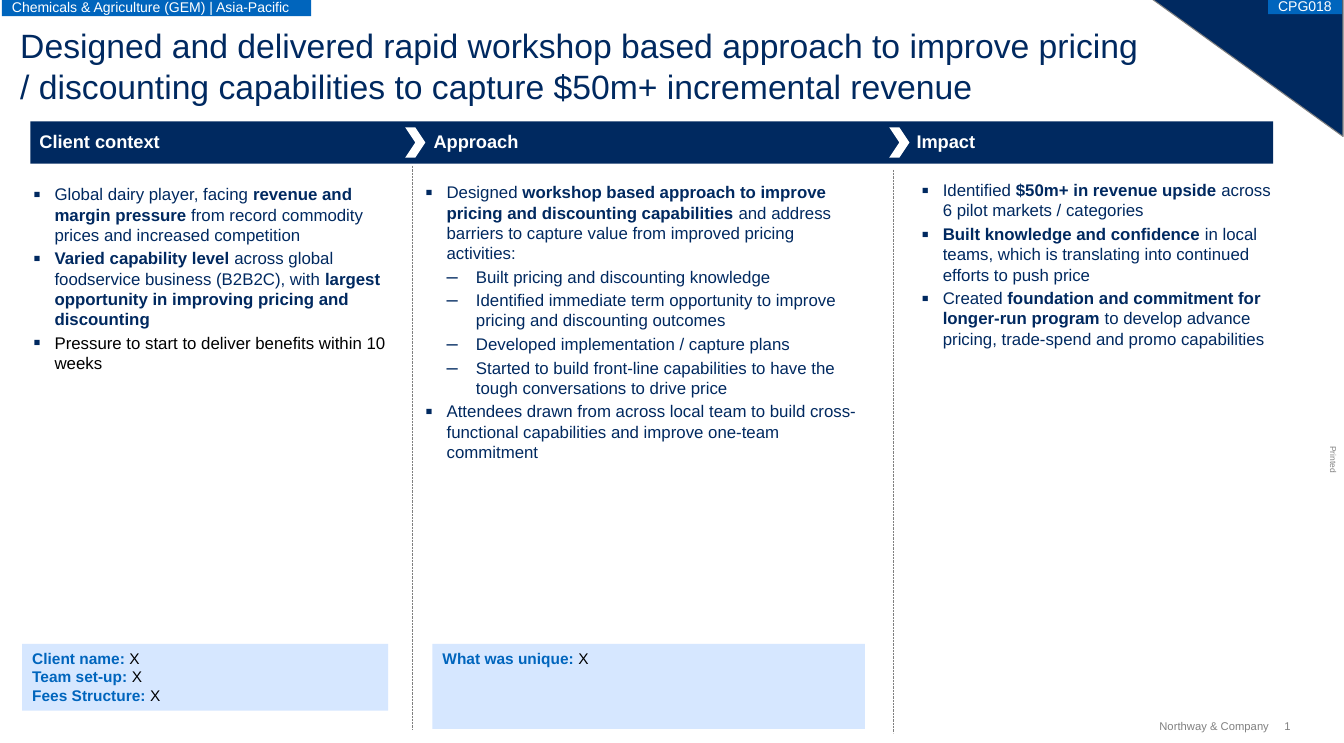
import lxml.etree
import pptx
import pptx.dml.color
import pptx.enum.dml
import pptx.enum.shapes
import pptx.enum.text
import pptx.oxml.ns
import pptx.util

PX = 9144
THEME = {
    "font": "Arial",
    "navy": "002960", "blue": "0065BD", "pale": "D6E7FF",
    "gray": "808080", "white": "FFFFFF", "black": "000000",
    "title": 24, "heading": 13, "body": 12, "fact": 11, "tag": 10, "footer": 8, "print": 6,
}
COLOR = {name: pptx.dml.color.RGBColor.from_string(value)
         for name, value in THEME.items() if isinstance(value, str) and name != "font"}
SHAPE = pptx.enum.shapes.MSO_SHAPE
ANCHOR = pptx.enum.text.MSO_ANCHOR
ALIGN = pptx.enum.text.PP_ALIGN


def write_text(shape, paragraphs, size, insets=(0, 0, 0, 0), anchor=ANCHOR.TOP, wrap=True, align=ALIGN.LEFT):
    frame = shape.text_frame
    frame.auto_size = pptx.enum.text.MSO_AUTO_SIZE.NONE
    frame.word_wrap = wrap
    frame.vertical_anchor = anchor
    frame.margin_left, frame.margin_top, frame.margin_right, frame.margin_bottom = [
        inset * PX for inset in insets]
    for index, runs in enumerate(paragraphs):
        paragraph = frame.paragraphs[0] if index == 0 else frame.add_paragraph()
        paragraph.alignment = align
        for text, color, bold in runs:
            run = paragraph.add_run()
            run.text = text
            run.font.name = THEME["font"]
            run.font.size = pptx.util.Pt(THEME[size])
            run.font.bold = bold
            run.font.color.rgb = COLOR[color]


def add_filled(kind, bounds, color):
    shape = slide.shapes.add_shape(kind, *[value * PX for value in bounds])
    shape.shadow.inherit = False
    shape.fill.solid()
    shape.fill.fore_color.rgb = COLOR[color]
    shape.line.fill.background()
    return shape


presentation = pptx.Presentation()
presentation.slide_width = 1330 * PX
presentation.slide_height = 735 * PX
slide = presentation.slides.add_slide(presentation.slide_layouts.get_by_name("Comparison"))
placeholders = {shape.placeholder_format.idx: shape for shape in slide.placeholders}

corner = add_filled(SHAPE.RIGHT_TRIANGLE, (1140, -1, 189, 136), "navy")
corner.rotation = 180
corner.line.color.rgb = COLOR["gray"]
corner.line.width = pptx.util.Pt(0.75)

title = slide.shapes.title
title.left, title.top, title.width, title.height = [value * PX for value in (20, 25, 1111, 90)]
write_text(title, [[(
    "Designed and delivered rapid workshop based approach to improve pricing / discounting "
    "capabilities to capture $50m+ incremental revenue", "navy", False)]], "title")

context_items = [
    (0, [("Global dairy player, facing ", "navy", False),
         ("revenue and margin pressure", "navy", True),
         (" from record commodity prices and increased competition", "navy", False)]),
    (0, [("Varied capability level ", "navy", True),
         ("across global foodservice business (B2B2C), with ", "navy", False),
         ("largest opportunity in improving pricing and discounting", "navy", True)]),
    (0, [("Pressure to start to deliver benefits within 10 weeks", "black", False)]),
]
approach_items = [
    (0, [("Designed ", "navy", False),
         ("workshop based approach to improve pricing and discounting capabilities", "navy", True),
         (" and address barriers to capture value from improved pricing activities:", "navy", False)]),
    (1, [("Built pricing and discounting knowledge", "navy", False)]),
    (1, [("Identified immediate term opportunity to improve pricing and discounting outcomes",
          "navy", False)]),
    (1, [("Developed implementation / capture plans", "navy", False)]),
    (1, [("Started to build front-line capabilities to have the tough conversations to drive price",
          "navy", False)]),
    (0, [("Attendees drawn from across local team to build cross-functional capabilities "
          "and improve one-team commitment", "navy", False)]),
]
impact_items = [
    (0, [("Identified ", "navy", False),
         ("$50m+ in revenue upside", "navy", True),
         (" across 6 pilot markets / categories", "navy", False)]),
    (0, [("Built knowledge and confidence ", "navy", True),
         ("in local teams, which is translating into continued efforts to push price", "navy", False)]),
    (0, [("Created ", "navy", False),
         ("foundation and commitment for longer-run program", "navy", True),
         (" to develop advance pricing, trade-spend and promo capabilities", "navy", False)]),
]
bullet_levels = [("▪", 21, -21, 125), ("–", 50, -29, 120)]
columns = [
    (1, (33, 182, 356, 190), context_items),
    (2, (421, 180, 435, 283), approach_items),
    (3, (912, 178, 348, 194), impact_items),
]
for placeholder_index, bounds, items in columns:
    body = placeholders[placeholder_index]
    body.left, body.top, body.width, body.height = [value * PX for value in bounds]
    write_text(body, [runs for level, runs in items], "body")
    for index, (level, runs) in enumerate(items):
        paragraph = body.text_frame.paragraphs[index]
        character, margin, indent, percent = bullet_levels[level]
        properties = paragraph._p.get_or_add_pPr()
        properties.set("marL", str(margin * PX))
        properties.set("indent", str(indent * PX))
        bullet_color = lxml.etree.SubElement(properties, pptx.oxml.ns.qn("a:buClr"))
        lxml.etree.SubElement(bullet_color, pptx.oxml.ns.qn("a:srgbClr"), val=THEME["navy"])
        lxml.etree.SubElement(properties, pptx.oxml.ns.qn("a:buSzPct"), val=str(percent * 1000))
        lxml.etree.SubElement(properties, pptx.oxml.ns.qn("a:buFont"), typeface=THEME["font"])
        lxml.etree.SubElement(properties, pptx.oxml.ns.qn("a:buChar"), char=character)
        paragraph.level = level
        paragraph.space_before = pptx.util.Pt(2.4 if index else 0)
        paragraph.space_after = pptx.util.Pt(0)

unused = placeholders[4].element
unused.getparent().remove(unused)

tags = [
    ((2, -2, 306, 18), "Chemicals & Agriculture (GEM) | Asia-Pacific"),
    ((1255, -2, 73, 16), "CPG018"),
]
for bounds, text in tags:
    tag = add_filled(SHAPE.RECTANGLE, bounds, "blue")
    write_text(tag, [[(text, "white", False)]], "tag", (10, 5, 10, 5), ANCHOR.MIDDLE, False)

add_filled(SHAPE.RECTANGLE, (30, 120, 1230, 42), "navy")
for left, width, text in [(39, 291, "Client context"), (429, 349, "Approach"), (907, 317, "Impact")]:
    heading = slide.shapes.add_textbox(left * PX, 129 * PX, width * PX, 24 * PX)
    write_text(heading, [[(text, "white", True)]], "heading", (0, 0, 0, 2), ANCHOR.BOTTOM)

for chevron_left, line_x, line_top, line_bottom in [(401, 408, 164, 722), (880, 884, 168, 725)]:
    add_filled(SHAPE.CHEVRON, (chevron_left, 126, 20, 30), "white")
    divider = slide.shapes.add_connector(
        pptx.enum.shapes.MSO_CONNECTOR.STRAIGHT,
        line_x * PX, line_top * PX, line_x * PX, line_bottom * PX)
    divider.line.color.rgb = COLOR["gray"]
    divider.line.width = pptx.util.Pt(0.5)
    divider.line.dash_style = pptx.enum.dml.MSO_LINE.ROUND_DOT
    lxml.etree.SubElement(divider._element.spPr, pptx.oxml.ns.qn("a:effectLst"))

facts = [
    ((22, 637, 362, 66), ["Client name: ", "Team set-up: ", "Fees Structure: "]),
    ((428, 637, 428, 84), ["What was unique: "]),
]
for bounds, names in facts:
    panel = add_filled(SHAPE.RECTANGLE, bounds, "pale")
    write_text(panel, [[(name, "blue", True), ("X", "black", False)] for name in names],
               "fact", (10, 5, 10, 5))

footers = [
    ((1306, 450, 27, 10), "Printed", "print", ANCHOR.TOP, ALIGN.LEFT, 90),
    ((1143, 712, 113, 13), "Northway & Company", "footer", ANCHOR.MIDDLE, ALIGN.RIGHT, 0),
    ((1271, 712, 14, 13), "1", "footer", ANCHOR.MIDDLE, ALIGN.LEFT, 0),
]
for bounds, text, size, anchor, align, rotation in footers:
    footer = slide.shapes.add_textbox(*[value * PX for value in bounds])
    footer.rotation = rotation
    write_text(footer, [[(text, "gray", False)]], size, anchor=anchor, wrap=False, align=align)

presentation.save("out.pptx")
